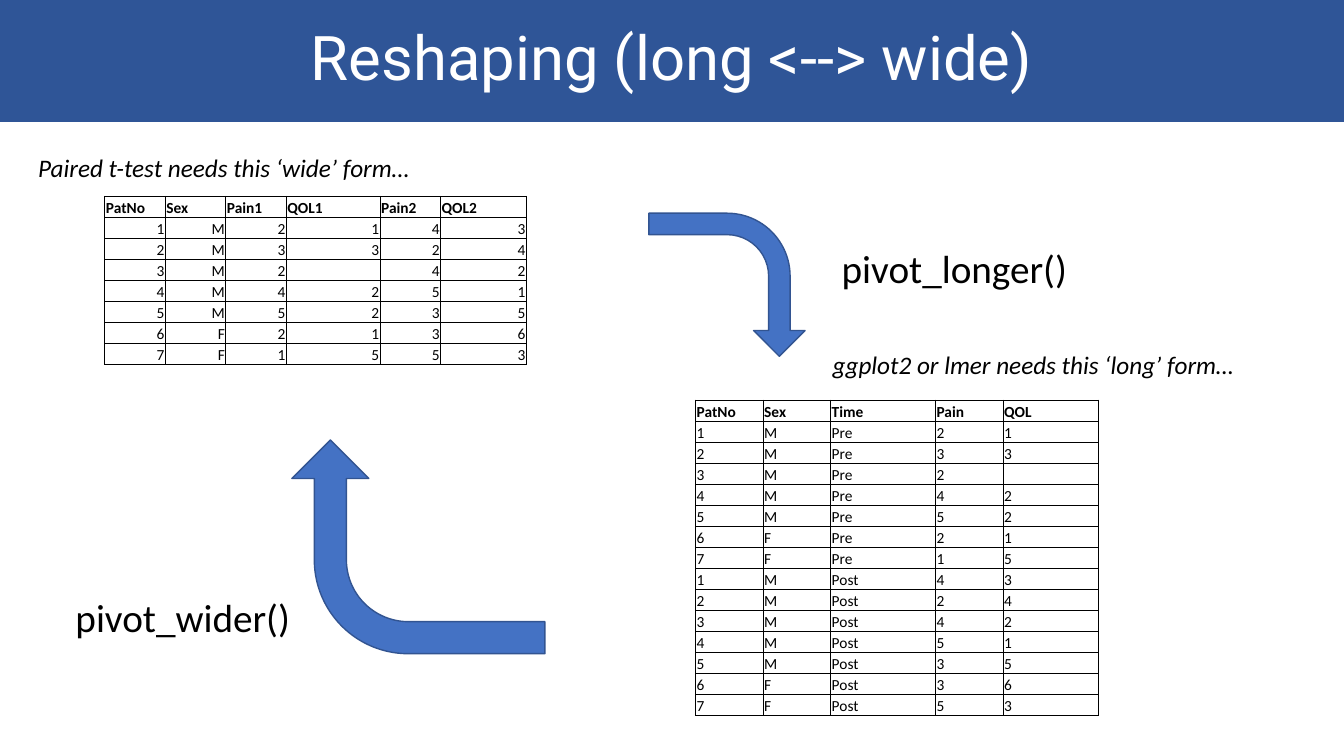
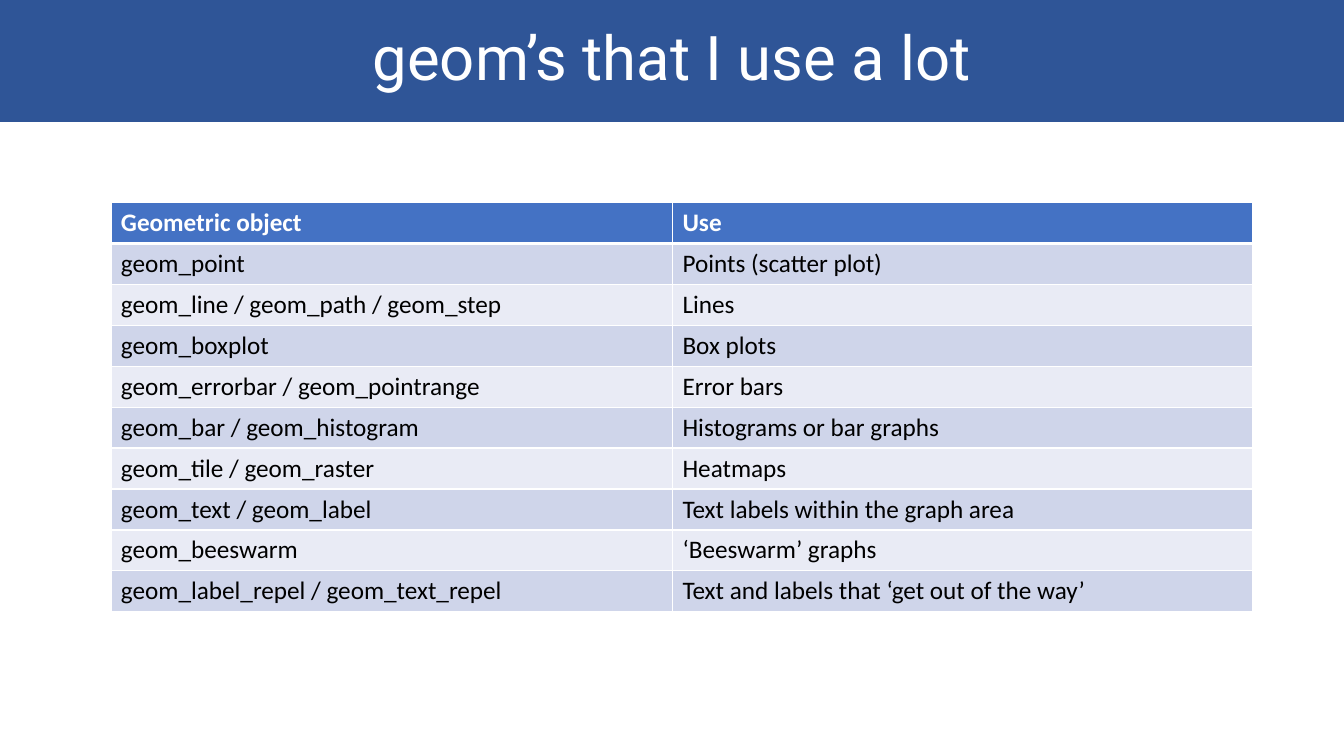
import dataclasses
import typing

import lxml.etree
import pptx
import pptx.dml.color
import pptx.enum.shapes
import pptx.enum.text
import pptx.oxml.ns
import pptx.util

Inches = pptx.util.Inches
Align = pptx.enum.text.PP_ALIGN
Anchor = pptx.enum.text.MSO_ANCHOR
ShapeKind = pptx.enum.shapes.MSO_SHAPE
Rows = typing.Sequence[typing.Sequence[str]]


@dataclasses.dataclass(frozen=True)
class Theme:
    band: str = "2F5597"
    accent: str = "4472C4"
    accent_line: str = "325491"
    dark_row: str = "CFD5EA"
    light_row: str = "E9EBF5"
    white: str = "FFFFFF"
    black: str = "000000"
    title_font: str = "Roboto"
    body_font: str = "Calibri"
    title_size: int = 44
    function_size: int = 28
    body_size: int = 18
    data_size: int = 11


THEME = Theme()


@dataclasses.dataclass(frozen=True)
class Box:
    left: float
    top: float
    width: float
    height: float

    def lengths(self) -> tuple[pptx.util.Length, ...]:
        return tuple(Inches(value) for value in dataclasses.astuple(self))


@dataclasses.dataclass(frozen=True)
class Label:
    text: str
    box: Box
    size: int
    italic: bool = False


@dataclasses.dataclass(frozen=True)
class TurnArrow:
    box: Box
    rotation: int


@dataclasses.dataclass(frozen=True)
class TableStyle:
    size: int
    border: str
    header_color: str = THEME.black
    header_fill: str | None = None
    row_fills: tuple[str | None, ...] = (None,)
    header_rule: float = 1
    align: Align = Align.LEFT
    anchor: Anchor = Anchor.TOP
    margins: tuple[float, float, float, float] = (0.1, 0.05, 0.1, 0.05)


# Content
WIDE_HEADER = ("PatNo", "Sex", "Pain1", "QOL1", "Pain2", "QOL2")
WIDE_ROWS = [
    ("1", "M", "2", "1", "4", "3"),
    ("2", "M", "3", "3", "2", "4"),
    ("3", "M", "2", "", "4", "2"),
    ("4", "M", "4", "2", "5", "1"),
    ("5", "M", "5", "2", "3", "5"),
    ("6", "F", "2", "1", "3", "6"),
    ("7", "F", "1", "5", "5", "3"),
]
LONG_HEADER = ("PatNo", "Sex", "Time", "Pain", "QOL")
LONG_ROWS = [
    (*row[:2], time, *row[first:first + 2])
    for time, first in (("Pre", 2), ("Post", 4))
    for row in WIDE_ROWS
]
GEOM_ROWS = [
    ("Geometric object", "Use"),
    ("geom_point", "Points (scatter plot)"),
    ("geom_line / geom_path / geom_step", "Lines"),
    ("geom_boxplot", "Box plots"),
    ("geom_errorbar / geom_pointrange", "Error bars"),
    ("geom_bar / geom_histogram", "Histograms or bar graphs"),
    ("geom_tile / geom_raster", "Heatmaps"),
    ("geom_text / geom_label", "Text labels within the graph area"),
    ("geom_beeswarm", "‘Beeswarm’ graphs"),
    ("geom_label_repel / geom_text_repel", "Text and labels that ‘get out of the way’"),
]
LABELS = [
    Label("pivot_longer()", Box(8.25, 2.37, 2.46, 0.57), THEME.function_size),
    Label("pivot_wider()", Box(0.65, 5.84, 2.35, 0.57), THEME.function_size),
    Label("Paired t-test needs this ‘wide’ form…", Box(0.28, 1.46, 3.92, 0.4),
          THEME.body_size, italic=True),
    Label("ggplot2 or lmer needs this ‘long’ form…", Box(8.16, 3.42, 4.22, 0.4),
          THEME.body_size, italic=True),
]
ARROWS = [
    TurnArrow(Box(3.09, 4.17, 2.12, 2.51), 270),
    TurnArrow(Box(6.5, 2.05, 1.42, 1.55), 90),
]
ARROW_ADJUSTMENTS = (0.15, 0.18, 0.18, 0.44)

# Table styles
LONG_STYLE = TableStyle(THEME.data_size, THEME.black, anchor=Anchor.BOTTOM,
                        margins=(0.01, 0.01, 0.01, 0))
WIDE_STYLE = dataclasses.replace(LONG_STYLE, align=Align.RIGHT)
GEOM_STYLE = TableStyle(THEME.body_size, THEME.white, header_color=THEME.white,
                        header_fill=THEME.accent, header_rule=3,
                        row_fills=(THEME.dark_row, THEME.light_row))


def rgb(color: str) -> pptx.dml.color.RGBColor:
    return pptx.dml.color.RGBColor.from_string(color)


def write_text(frame: typing.Any, text: str, *, size: int, color: str = THEME.black,
               font: str = THEME.body_font, bold: bool = False, italic: bool = False,
               align: Align = Align.LEFT, line_spacing: float | None = None) -> None:
    paragraph = frame.paragraphs[0]
    paragraph.alignment = align
    paragraph.line_spacing = line_spacing
    if not text:
        # An empty cell still needs its type size to keep the row height
        end = lxml.etree.SubElement(paragraph._p, pptx.oxml.ns.qn("a:endParaRPr"))
        end.set("sz", str(size * 100))
        return
    run = paragraph.add_run()
    run.text = text
    run.font.name = font
    run.font.size = pptx.util.Pt(size)
    run.font.bold = bold
    run.font.italic = italic
    run.font.color.rgb = rgb(color)


def set_fill(fill: typing.Any, color: str | None) -> None:
    if color is None:
        fill.background()
    else:
        fill.solid()
        fill.fore_color.rgb = rgb(color)


def set_borders(cell: typing.Any, color: str, top: float, bottom: float) -> None:
    properties = cell._tc.get_or_add_tcPr()
    for side, width in (("L", 1), ("R", 1), ("T", top), ("B", bottom)):
        line = lxml.etree.SubElement(properties, pptx.oxml.ns.qn(f"a:ln{side}"))
        line.set("w", str(pptx.util.Pt(width)))
        solid = lxml.etree.SubElement(line, pptx.oxml.ns.qn("a:solidFill"))
        lxml.etree.SubElement(solid, pptx.oxml.ns.qn("a:srgbClr")).set("val", color)


def add_filled_shape(slide: typing.Any, kind: ShapeKind, box: Box, fill: str,
                     line: str | None = None) -> typing.Any:
    shape = slide.shapes.add_shape(kind, *box.lengths())
    shape.shadow.inherit = False
    set_fill(shape.fill, fill)
    set_fill(shape.line.fill, line)
    if line:
        shape.line.width = pptx.util.Pt(1)
    return shape


def add_titled_slide(presentation: typing.Any, title: str) -> typing.Any:
    slide = presentation.slides.add_slide(presentation.slide_layouts[6])
    band = add_filled_shape(slide, ShapeKind.RECTANGLE, Box(0, 0, 13.33, 1.21), THEME.band)
    band.text_frame.vertical_anchor = Anchor.MIDDLE
    write_text(band.text_frame, title, size=THEME.title_size, color=THEME.white,
               font=THEME.title_font, align=Align.CENTER, line_spacing=0.9)
    return slide


def add_label(slide: typing.Any, label: Label) -> None:
    frame = slide.shapes.add_textbox(*label.box.lengths()).text_frame
    frame.word_wrap = False
    frame.auto_size = pptx.enum.text.MSO_AUTO_SIZE.SHAPE_TO_FIT_TEXT
    write_text(frame, label.text, size=label.size, italic=label.italic)


def add_turn_arrow(slide: typing.Any, arrow: TurnArrow) -> None:
    shape = add_filled_shape(slide, ShapeKind.BENT_ARROW, arrow.box, THEME.accent,
                             THEME.accent_line)
    shape.rotation = arrow.rotation
    for index, value in enumerate(ARROW_ADJUSTMENTS):
        shape.adjustments[index] = value


def add_data_table(slide: typing.Any, rows: Rows, box: Box, widths: typing.Sequence[float],
                   style: TableStyle) -> None:
    table = slide.shapes.add_table(len(rows), len(widths), *box.lengths()).table
    table.first_row = table.horz_banding = False
    for column, width in zip(table.columns, widths):
        column.width = Inches(width)
    for row_index, row in enumerate(rows):
        table.rows[row_index].height = Inches(box.height / len(rows))
        header = row_index == 0
        fill = style.row_fills[(row_index - 1) % len(style.row_fills)]
        for column_index, text in enumerate(row):
            cell = table.cell(row_index, column_index)
            cell.vertical_anchor = style.anchor
            (cell.margin_left, cell.margin_top, cell.margin_right,
             cell.margin_bottom) = (Inches(margin) for margin in style.margins)
            set_borders(cell, style.border, style.header_rule if row_index == 1 else 1,
                        style.header_rule if header else 1)
            set_fill(cell.fill, style.header_fill if header else fill)
            write_text(cell.text_frame, text, size=style.size, bold=header,
                       color=style.header_color if header else THEME.black,
                       align=Align.LEFT if header else style.align)


def main() -> None:
    presentation = pptx.Presentation()
    presentation.slide_width = Inches(13.33)
    presentation.slide_height = Inches(7.5)

    # Reshaping between the two table forms
    slide = add_titled_slide(presentation, "Reshaping (long <--> wide)")
    add_data_table(slide, [WIDE_HEADER, *WIDE_ROWS], Box(1.04, 1.95, 4.17, 1.67),
                   (0.6, 0.6, 0.6, 0.93, 0.6, 0.85), WIDE_STYLE)
    add_data_table(slide, [LONG_HEADER, *LONG_ROWS], Box(6.9, 3.97, 3.99, 3.13),
                   (0.67, 0.67, 1.04, 0.67, 0.95), LONG_STYLE)
    for arrow in ARROWS:
        add_turn_arrow(slide, arrow)
    for label in LABELS:
        add_label(slide, label)

    # Overview of geoms
    slide = add_titled_slide(presentation, "geom’s that I use a lot")
    add_data_table(slide, GEOM_ROWS, Box(1.1, 2.01, 11.32, 4.06), (5.57, 5.75), GEOM_STYLE)

    presentation.save("out.pptx")


if __name__ == "__main__":
    main()
